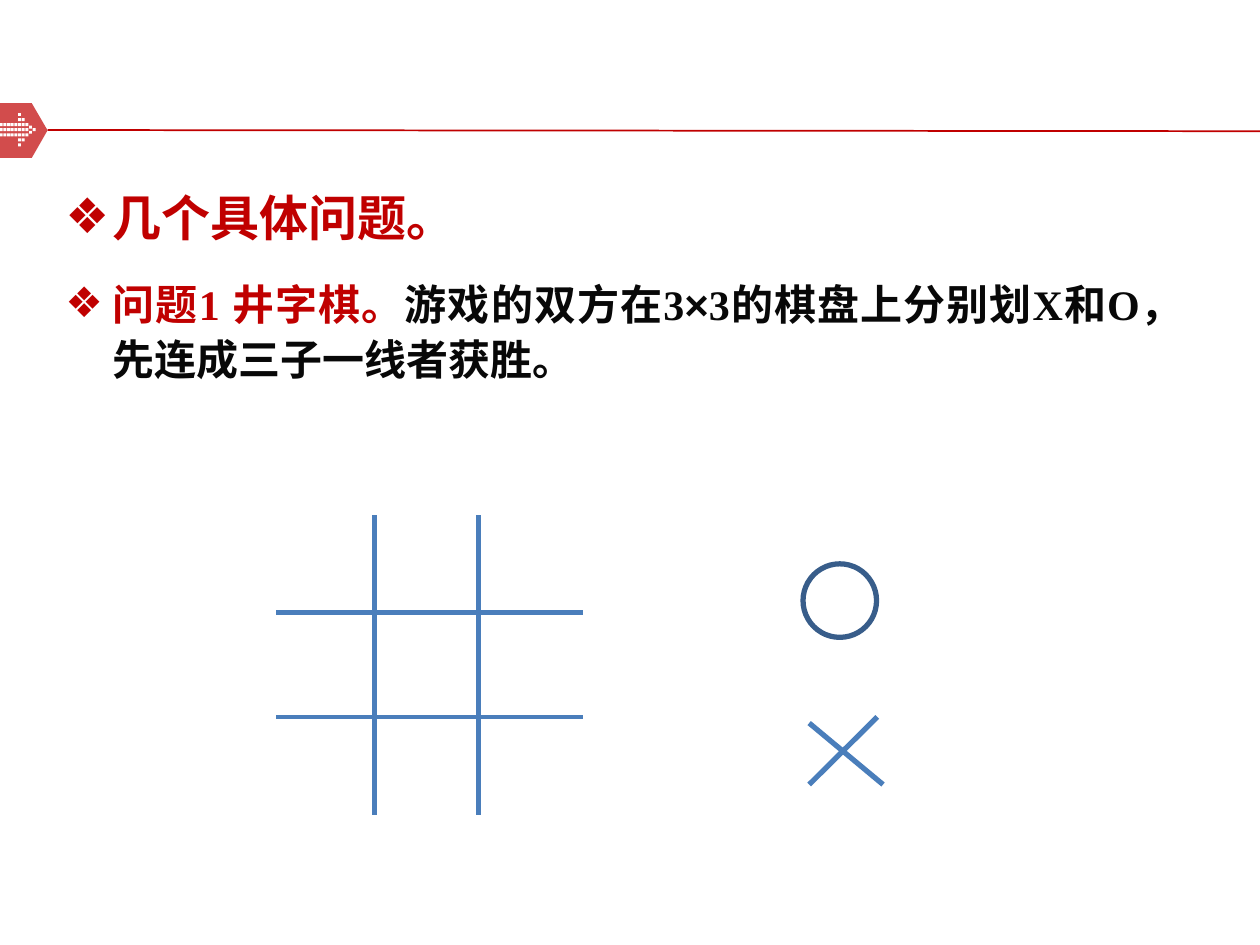
from lxml.etree import SubElement as Sub
from pptx import Presentation
from pptx.dml.color import RGBColor as RGB
from pptx.enum.shapes import MSO_CONNECTOR as Conn, MSO_SHAPE as Kind
from pptx.enum.text import MSO_ANCHOR as Anchor, MSO_AUTO_SIZE as Fit, PP_ALIGN as Align
from pptx.oxml.ns import qn
from pptx.util import Pt

INK = {"red": "C00000", "black": "080808", "white": "FFFFFF",
       "blue": "4A7EBB", "navy": "385D8A"}
SERIF, SANS = "Times New Roman", "Arial"

TEXT = [
    (28, 7, [("几个具体问题。", "red", SERIF)]),
    (24, 6, [("问题1 井字棋。", "red", SERIF),
             ("游戏的双方在3", "black", SERIF),
             ("×", "black", SANS),
             ("3的棋盘上分别划X和O，先连成三子一线者获胜。", "black", SERIF)]),
]
RULE = [(27.2, 74.3, 720, 75)]
BOARD = ([(157.9, y, 333.1, y) for y in (350.2, 409.7)]
         + [(x, 294.4, x, 465.6) for x in (214.1, 273.6)])
CROSS = [(462.4, 413.2, 504.6, 448.3), (462.4, 448.3, 501.3, 409.7)]
RING = (458.9, 322.2, 42, 42)
TAG = [(0, 59), (18.2, 59), (27.2, 74.5), (18.2, 90.2), (0, 90.2)]
DOTS = {0: [6], 1: [6, 7], 2: range(1, 9), 2.5: [9], 3: [*range(1, 9), 10],
        3.5: [9], 4: range(1, 9), 5: [6, 7], 6: [6]}


def color(name):
    return RGB.from_string(INK[name])


def lines(shapes, rows, name, width):
    for row in rows:
        line = shapes.add_connector(Conn.STRAIGHT, *map(Pt, row))
        line.line.color.rgb = color(name)
        line.line.width = Pt(width)
        Sub(line._element.spPr, qn("a:effectLst"))


def outline(shapes, rings, name):
    build = None
    for ring in rings:
        pts = [(Pt(x), Pt(y)) for x, y in ring]
        if build is None:
            build = shapes.build_freeform(*pts[0])
        else:
            build.move_to(*pts[0])
        build.add_line_segments(pts[1:], close=True)
    shape = build.convert_to_shape()
    shape.shadow.inherit = False
    shape.fill.solid()
    shape.fill.fore_color.rgb = color(name)
    shape.line.fill.background()
    return shape


def dot(col, row):
    x, y, size = -2.2 + 2.09 * col, 64.6 + 2.9 * row, 1.7
    return [(x, y), (x + size, y), (x + size, y + size), (x, y + size)]


def bullet(para):
    props = para._p.get_or_add_pPr()
    props.set("marL", str(Pt(27)))
    props.set("indent", str(Pt(-27)))
    Sub(Sub(props, qn("a:buClr")), qn("a:srgbClr"), val=INK["red"])
    Sub(props, qn("a:buChar"), char="❖")
    tabs = Sub(props, qn("a:tabLst"))
    for stop in range(1, 9):
        Sub(tabs, qn("a:tab"), pos=str(Pt(54 * stop)), algn="l")


def write(body):
    body.left, body.top, body.width, body.height = map(Pt, (30.2, 100, 653, 395.3))
    frame = body.text_frame
    frame.word_wrap = True
    frame.auto_size = Fit.NONE
    frame.vertical_anchor = Anchor.TOP
    for i, (size, after, runs) in enumerate(TEXT):
        para = frame.add_paragraph() if i else frame.paragraphs[0]
        para.alignment = Align.JUSTIFY
        para.line_spacing = 1.1
        para.space_before, para.space_after = Pt(8.5), Pt(after)
        bullet(para)
        para.font.size, para.font.bold = Pt(size), True
        for words, name, face in runs:
            run = para.add_run()
            run.text = words
            run.font.name = face
            run.font.color.rgb = color(name)


def main():
    deck = Presentation()
    deck.slide_width, deck.slide_height = Pt(720), Pt(540)
    slide = deck.slides.add_slide(deck.slide_layouts[1])
    shapes = slide.shapes
    title = shapes.title._element
    title.getparent().remove(title)
    write(slide.placeholders[1])

    tag = outline(shapes, [TAG], "red")
    fill = tag._element.spPr.find(qn("a:solidFill"))
    Sub(fill[0], qn("a:alpha"), val="70000")
    outline(shapes, [dot(c, r) for r, cols in DOTS.items() for c in cols], "white")
    lines(shapes, RULE, "red", 1)

    lines(shapes.add_group_shape().shapes, BOARD, "blue", 2.75)
    ring = shapes.add_shape(Kind.OVAL, *map(Pt, RING))
    ring.shadow.inherit = False
    ring.fill.background()
    ring.line.color.rgb = color("navy")
    ring.line.width = Pt(3)
    lines(shapes.add_group_shape().shapes, CROSS, "blue", 3)
    deck.save("out.pptx")


if __name__ == "__main__":
    main()
